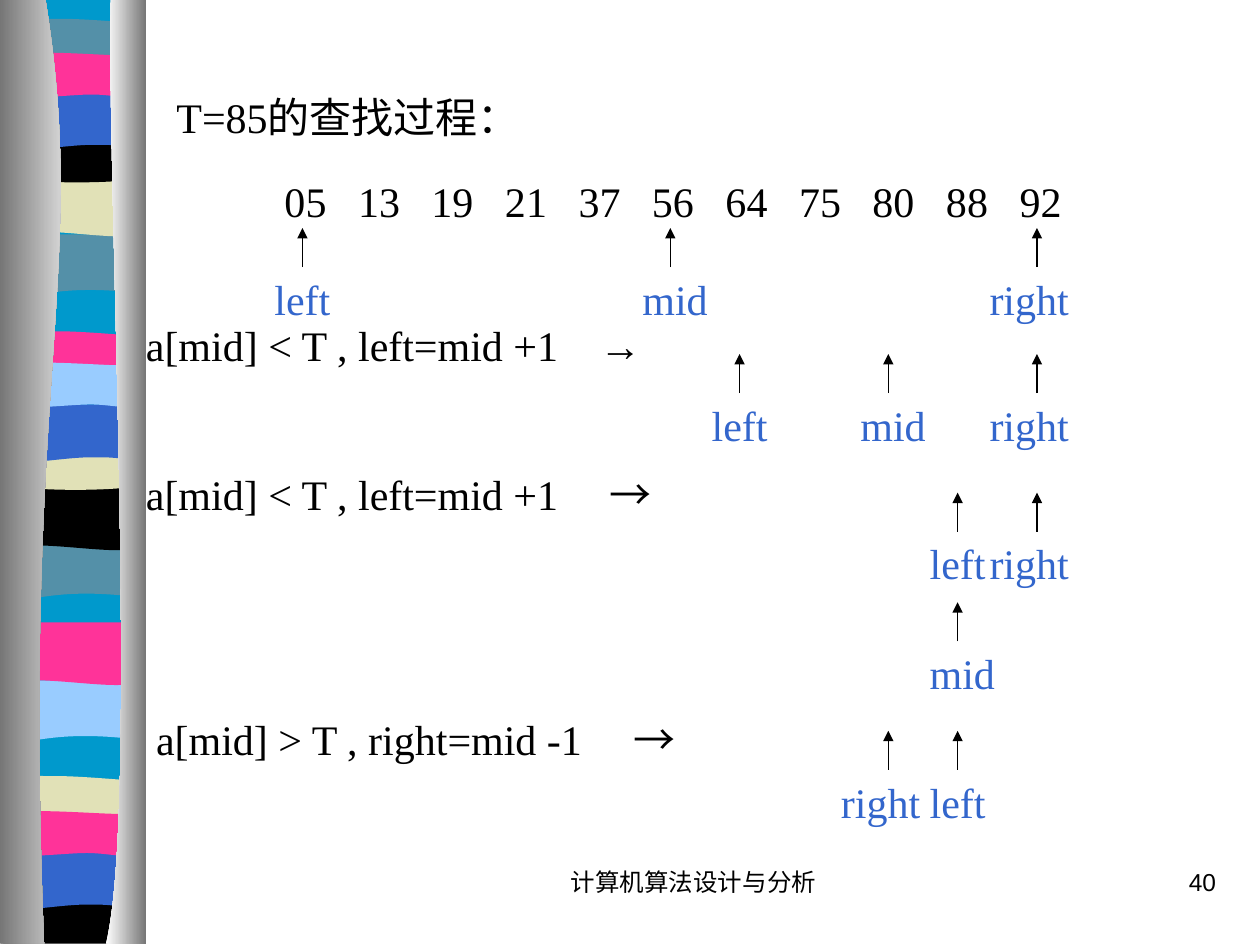
from lxml.etree import SubElement
from pptx import Presentation
from pptx.dml.color import RGBColor
from pptx.enum.shapes import MSO_CONNECTOR
from pptx.enum.text import MSO_ANCHOR, PP_ALIGN
from pptx.oxml.ns import qn
from pptx.util import Inches, Pt

COLORS = {
    "black": "000000", "label": "3366CC", "blue": "0099CC", "teal": "5490A8",
    "pink": "FF3399", "royal": "3366CC", "cream": "E1E1B7", "sky": "99CCFF",
    "white": "FFFFFF", "grey": "767676",
}
SERIF, SANS = "Times New Roman", "Arial"

# Band outlines: start point, then steps of one point (line) or three (curve)
BAND_SHAPES = {
    "swell": [[(1.04, 0)], [(1.04, 0.47)],
              [(0.32, 0.38), (0.17, 0.54), (0, 0.47)], [(0, 0)]],
    "sag": [[(1.04, 0)], [(1.04, 0.47)],
            [(0.87, 0.55), (0.32, 0.42), (0, 0.47)], [(0, 0)]],
    "strip": [[(1.04, 0.05)], [(1.04, 0.29)],
              [(0.87, 0.33), (0.17, 0.33), (0, 0.29)], [(0, 0.05)],
              [(0.07, 0), (0.23, 0.01), (0.4, 0.01)],
              [(0.57, 0.01), (0.91, 0.04), (1.04, 0.05)]],
    "bowl": [[(1.04, 0)], [(1.04, 0.33)],
             [(0.87, 0.38), (0.17, 0.38), (0, 0.33)], [(0, 0)],
             [(0.64, 0.05), (0.83, 0), (1.04, 0)]],
    "arch": [[(1.04, 0)], [(1.04, 0.47)],
             [(0.88, 0.42), (0.82, 0.42), (0.64, 0.42)],
             [(0.47, 0.42), (0.16, 0.47), (0, 0.47)], [(0, 0)]],
    "ripple": [[(1.04, 0.05)], [(1.04, 0.36)],
               [(0.97, 0.41), (0.81, 0.36), (0.64, 0.36)],
               [(0.46, 0.36), (0.11, 0.41), (0, 0.36)], [(0, 0.05)],
               [(0.15, 0), (0.71, 0.05), (0.89, 0.05)],
               [(1.06, 0.05), (1.01, 0.05), (1.04, 0.05)]],
    "foot": [[(1.04, 0)], [(1.04, 0.37)], [(0, 0.37)], [(0, 0)],
             [(0.64, 0.05), (0.83, 0), (1.04, 0)]],
    "base": [[(1.04, 0)], [(1.04, 7.47)], [(0, 7.47)], [(0, 0)]],
}
BANDS = [  # outline, left, top, colour
    ("base", 0.1, -0.01, "blue"),
    ("swell", 0.09, 1.86, "teal"), ("sag", 0.11, 1.38, "cream"),
    ("strip", 0.11, 0.14, "teal"), ("bowl", 0.09, 1.08, "black"),
    ("arch", 0.09, 0.73, "royal"), ("ripple", 0.09, 0.39, "pink"),
    ("swell", 0.06, 4.27, "teal"), ("sag", 0.08, 3.87, "black"),
    ("strip", 0.08, 2.62, "pink"), ("bowl", 0.08, 3.52, "cream"),
    ("arch", 0.08, 3.21, "royal"), ("ripple", 0.08, 2.85, "sky"),
    ("swell", 0.05, 5.4, "sky"), ("sag", 0.07, 4.94, "pink"),
    ("strip", 0.06, 6.15, "cream"), ("foot", 0.06, 7.12, "black"),
    ("arch", 0.04, 6.76, "royal"), ("ripple", 0.05, 6.41, "pink"),
]
LEFT_BORDER = [[(0.36, -0.01)], [(0.71, 2.16), (0.17, 2.96), (0.35, 7.49)],
               [(0, 7.49)], [(0, -0.01)]]
RIGHT_BORDER = [[(0.88, -0.01)], [(0.84, 1.25), (1.11, 6.46), (0.84, 7.49)],
                [(1.16, 7.49)], [(1.16, -0.01)]]

NUMBERS = ["05", "13", "19", "21", "37", "56", "64", "75", "80", "88", "92"]
PITCH = 7 / 12
# Pointer position under each array index
POINTER_X = {0: 2.4, 5: 5.32, 6: 5.87, 8: 7.05, 9: 7.6, 10: 8.23}
# Label: distance from its left edge to the arrow, and width
LABELS = {"left": (0.32, 0.79), "mid": (0.32, 0.79), "right": (0.475, 0.95)}
POINTERS = [  # label top, then index of each pointer
    (2.12, {"left": 0, "right": 10, "mid": 5}),
    (3.12, {"left": 6, "right": 10, "mid": 8}),
    (4.22, {"left": 9, "right": 10}),
    (5.09, {"mid": 9}),
    (6.11, {"left": 9, "right": 8}),
]
STEPS = [  # left, top, width, condition
    (1.06, 2.49, 7.64, "a[mid] < T , left=mid +1\t"),
    (1.06, 3.67, 7.64, "a[mid] < T , left=mid +1　 "),
    (1.14, 5.61, 7.56, "a[mid] > T , right=mid -1　 "),
]


def rgb(name):
    return RGBColor.from_string(COLORS[name])


def add_outline(s, steps, colors, x=0, y=0):
    """Closed curved outline with a solid fill or a two-colour gradient."""
    pts = [(Inches(x + px), Inches(y + py)) for step in steps for px, py in step]
    fb = s.shapes.build_freeform(*pts[0])
    fb.add_line_segments(pts[1:], close=True)
    sp = fb.convert_to_shape()
    # Join the three points of each curve
    path = next(sp._element.iter(qn("a:path")))
    lines = iter(path.findall(qn("a:lnTo")))
    for step in steps[1:]:
        first, *rest = [next(lines) for _ in step]
        if rest:
            first.tag = qn("a:cubicBezTo")
            for line in rest:
                first.append(line[0])
                path.remove(line)
    sp.shadow.inherit = False
    sp.line.fill.background()
    if len(colors) == 1:
        sp.fill.solid()
        sp.fill.fore_color.rgb = rgb(colors[0])
    else:
        sp.fill.gradient()
        sp.fill.gradient_angle = 0
        for stop, name in zip(sp.fill.gradient_stops, colors):
            stop.color.rgb = rgb(name)


def add_run(p, text, size=24, font=SERIF, color="black"):
    r = p.add_run()
    r.text = text
    r.font.size = Pt(size)
    r.font.name = font
    r.font.color.rgb = rgb(color)


def add_text(s, x, y, w, text, align=PP_ALIGN.LEFT, **style):
    sp = s.shapes.add_textbox(Inches(x), Inches(y), Inches(w), Inches(0.5))
    sp.text_frame.word_wrap = True
    p = sp.text_frame.paragraphs[0]
    p.alignment = align
    add_run(p, text, **style)
    return sp


def set_tabs(p, stops):
    tabs = SubElement(p._p.get_or_add_pPr(), qn("a:tabLst"))
    for stop in stops:
        SubElement(tabs, qn("a:tab"), pos=str(Inches(stop)), algn="l")


def add_pointer(s, name, x, y):
    """Label with an arrow rising from its top."""
    offset, width = LABELS[name]
    label = add_text(s, x - offset, y, width, name, color="label")
    arrow = s.shapes.add_connector(MSO_CONNECTOR.STRAIGHT, Inches(x), Inches(y),
                                   Inches(x), Inches(y - 0.31))
    if name == "right":
        arrow.begin_connect(label, 0)
    arrow.line.color.rgb = rgb("black")
    arrow.line.width = Pt(0.75)
    SubElement(arrow.line._get_or_add_ln(), qn("a:tailEnd"), type="triangle")
    SubElement(arrow._element.spPr, qn("a:effectLst"))


def add_ribbon(s):
    for shape, x, y, color in BANDS:
        add_outline(s, BAND_SHAPES[shape], [color], x, y)
    add_outline(s, LEFT_BORDER, ["grey", "white"])
    add_outline(s, RIGHT_BORDER, ["white", "grey"])


def add_title(s, text):
    sp = s.shapes.title
    sp.left, sp.top, sp.width, sp.height = map(Inches, (1.3, 0.68, 3.7, 0.5))
    tf = sp.text_frame
    tf.word_wrap = True
    tf.vertical_anchor = MSO_ANCHOR.TOP
    p = tf.paragraphs[0]
    p.alignment = PP_ALIGN.LEFT
    add_run(p, text)


def main():
    prs = Presentation()
    prs.slide_width, prs.slide_height = Inches(10), Inches(7.5)
    s = prs.slides.add_slide(prs.slide_layouts[5])

    add_ribbon(s)
    add_title(s, "T=85的查找过程：")

    # Sorted array
    sp = add_text(s, 2.16, 1.34, 7.24, "\t".join(NUMBERS))
    set_tabs(sp.text_frame.paragraphs[0],
             [PITCH * i for i in range(1, len(NUMBERS))])

    # Search steps
    for x, y, w, condition in STEPS:
        p = add_text(s, x, y, w, condition).text_frame.paragraphs[0]
        add_run(p, "→", font=SANS)
        if "\t" in condition:
            set_tabs(p, [3.6])
    for y, row in POINTERS:
        for name, index in row.items():
            add_pointer(s, name, POINTER_X[index], y)

    # Footer and page number
    add_text(s, 3.92, 6.83, 3.17, "计算机算法设计与分析", PP_ALIGN.CENTER,
             size=14, font=SANS)
    add_text(s, 7.67, 6.83, 2.08, "40", PP_ALIGN.RIGHT, size=14, font=SANS)

    prs.save("out.pptx")


if __name__ == "__main__":
    main()
